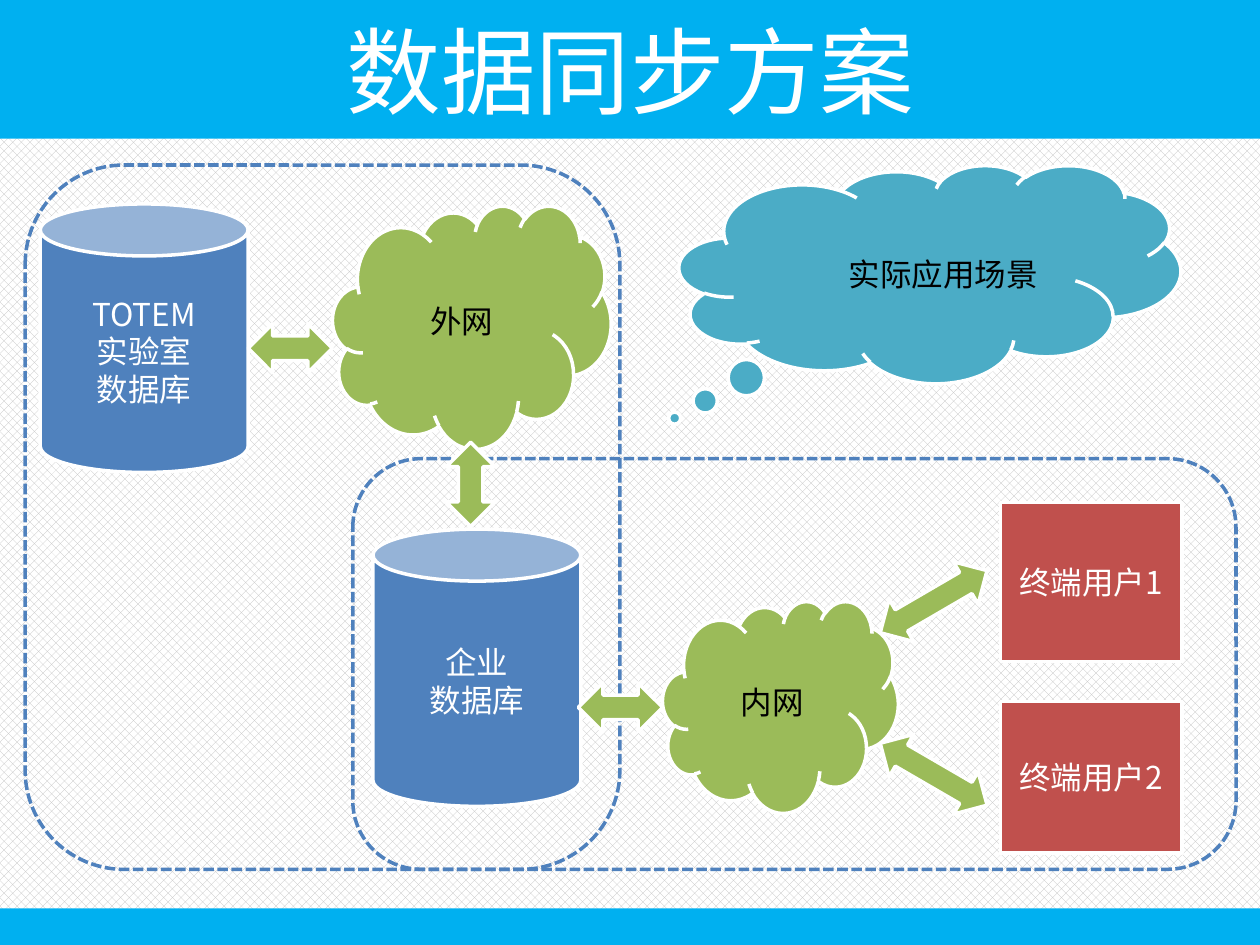
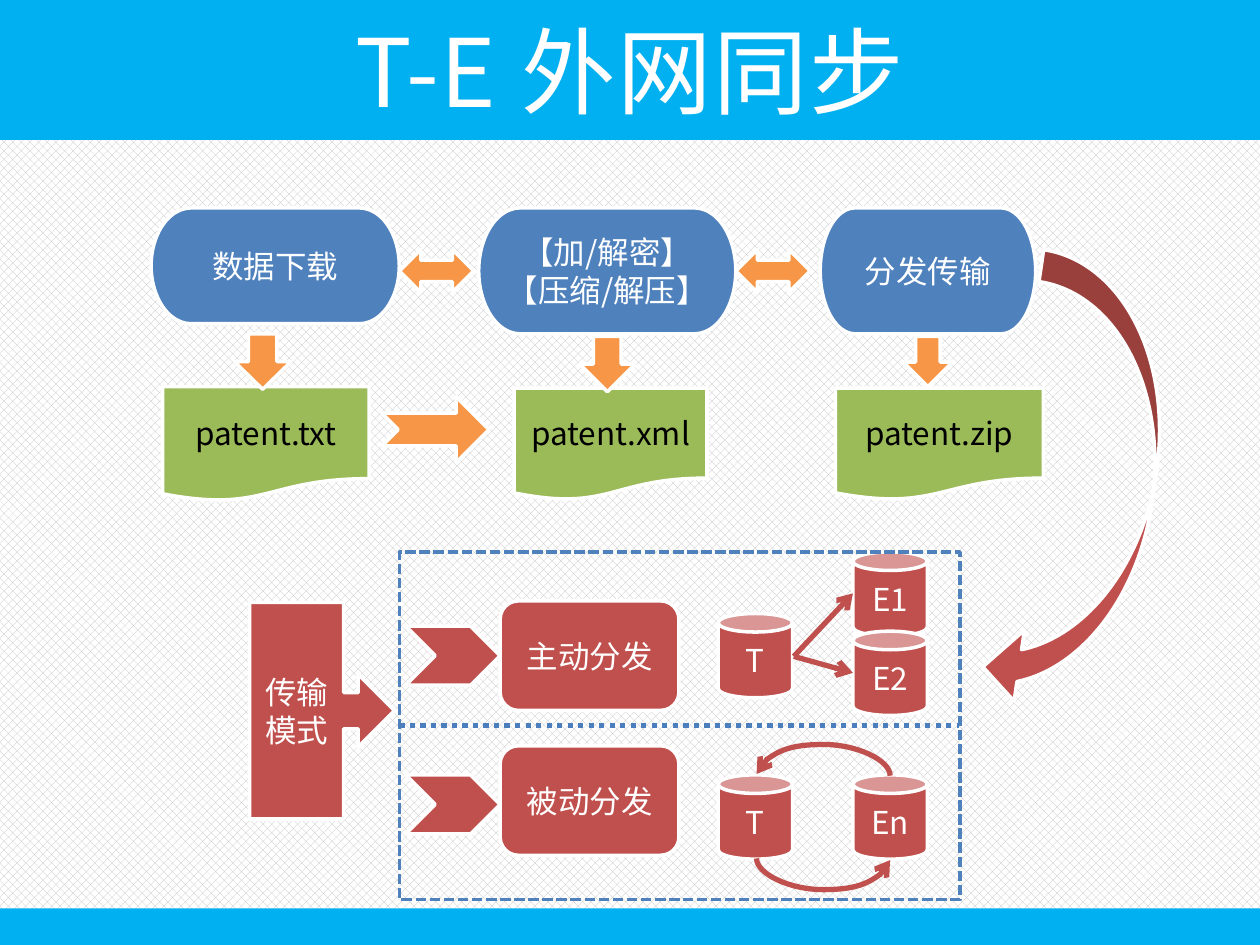
from dataclasses import dataclass

from lxml import etree
from pptx import Presentation
from pptx.dml.color import RGBColor
from pptx.enum.dml import MSO_LINE, MSO_PATTERN
from pptx.enum.shapes import MSO_CONNECTOR, MSO_SHAPE
from pptx.enum.text import MSO_ANCHOR, MSO_AUTO_SIZE, PP_ALIGN
from pptx.oxml.ns import qn
from pptx.util import Pt

CAN = MSO_SHAPE.CAN
CHEVRON = MSO_SHAPE.CHEVRON
CLOUD = MSO_SHAPE.CLOUD
CLOUD_CALLOUT = MSO_SHAPE.CLOUD_CALLOUT
CURVED_ARROW = MSO_SHAPE.CURVED_DOWN_ARROW
DOCUMENT = MSO_SHAPE.FLOWCHART_DOCUMENT
DOWN_ARROW = MSO_SHAPE.DOWN_ARROW
LEFT_RIGHT = MSO_SHAPE.LEFT_RIGHT_ARROW
NOTCHED_ARROW = MSO_SHAPE.NOTCHED_RIGHT_ARROW
RECT = MSO_SHAPE.RECTANGLE
RIGHT_CALLOUT = MSO_SHAPE.RIGHT_ARROW_CALLOUT
ROUND_RECT = MSO_SHAPE.ROUNDED_RECTANGLE
TERMINATOR = MSO_SHAPE.FLOWCHART_TERMINATOR
UP_DOWN = MSO_SHAPE.UP_DOWN_ARROW
STRAIGHT = MSO_CONNECTOR.STRAIGHT
CURVE = MSO_CONNECTOR.CURVE
SYS_DASH = MSO_LINE.SQUARE_DOT
SYS_DOT = MSO_LINE.ROUND_DOT
PCT50 = MSO_PATTERN.PERCENT_50
MIDDLE = MSO_ANCHOR.MIDDLE
CENTER = PP_ALIGN.CENTER
NO_AUTOFIT = MSO_AUTO_SIZE.NONE

WHITE, BLACK, GREY = "FFFFFF", "000000", "BFBFBF"
BAND, BLUE, GREEN = "00B0F0", "4F81BD", "9BBB59"
RED, ORANGE, TEAL, DIVIDER = "C0504D", "F79646", "4BACC6", "4B7EBC"
TITLE_FONT, BODY_FONT = "Noto Sans CJK JP", "Noto Sans CJK SC"
WIDTH, HEIGHT = 720, 540
TITLE_HEIGHT, FOOTER_TOP = 79.2, 519.1
TITLE_ONLY = 5


@dataclass(frozen=True)
class Part:
    """A preset shape; each line of its text is a paragraph."""
    kind: int
    left: float
    top: float
    width: float
    height: float
    fill: str
    text: str = ""
    ink: str = WHITE
    rotation: float = 0
    adjust: tuple[float, ...] = ()


@dataclass(frozen=True)
class Link:
    x1: float
    y1: float
    x2: float
    y2: float
    kind: int = STRAIGHT
    color: str = RED


def rgb(color: str) -> RGBColor:
    return RGBColor.from_string(color)


def paint(sp, color: str) -> None:
    sp.fill.solid()
    sp.fill.fore_color.rgb = rgb(color)


def outline(sp, color: str, width: float = 2) -> None:
    sp.line.color.rgb = rgb(color)
    sp.line.width = Pt(width)


def write(tf, text: str, size: float, font: str, ink: str, spacing: float = 0) -> None:
    tf.word_wrap = True
    tf.vertical_anchor = MIDDLE
    for i, line in enumerate(text.split("\n")):
        p = tf.paragraphs[0] if i == 0 else tf.add_paragraph()
        p.alignment = CENTER
        r = p.add_run()
        r.text = line
        r.font.size = Pt(size)
        r.font.color.rgb = rgb(ink)
        r.font.name = font
        props = r.font._element
        etree.SubElement(props, qn("a:ea")).set("typeface", font)
        if spacing:
            props.set("spc", str(int(spacing * 100)))


def add_part(s, part: Part):
    sp = s.shapes.add_shape(part.kind, Pt(part.left), Pt(part.top),
                            Pt(part.width), Pt(part.height))
    sp.shadow.inherit = False
    sp.rotation = part.rotation
    for i, value in enumerate(part.adjust):
        sp.adjustments[i] = value
    paint(sp, part.fill)
    outline(sp, WHITE)
    if part.text:
        write(sp.text_frame, part.text, 18, BODY_FONT, part.ink)
    return sp


def add_zone(s, kind: int, left: float, top: float, width: float, height: float) -> None:
    """Draw a dashed frame around a group."""
    sp = add_part(s, Part(kind, left, top, width, height, WHITE))
    sp.fill.background()
    outline(sp, BLUE)
    sp.line.dash_style = SYS_DASH


def add_link(s, link: Link):
    sp = s.shapes.add_connector(link.kind, Pt(link.x1), Pt(link.y1),
                                Pt(link.x2), Pt(link.y2))
    outline(sp, link.color, 3)
    etree.SubElement(sp._element.spPr, qn("a:effectLst"))
    return sp


def add_arrow(s, link: Link):
    sp = add_link(s, link)
    ln = sp._element.spPr.find(qn("a:ln"))
    etree.SubElement(ln, qn("a:tailEnd")).set("type", "arrow")
    return sp


def add_loop(s, cx: float, cy: float, span: float, side: int) -> None:
    """Draw an arched arrow: side 1 goes leftwards above, -1 rightwards below.

    The connector is a 1 pt wide upright S, bulged by 18 pt and turned by 270°.
    """
    dx, dy = side * 0.5, side * span / 2
    sp = add_arrow(s, Link(cx - dx, cy + dy, cx + dx, cy - dy, CURVE))
    sp_pr = sp._element.spPr
    sp_pr.find(qn("a:xfrm")).set("rot", str(270 * 60000))
    guides = sp_pr.find(qn("a:prstGeom")).find(qn("a:avLst"))
    guide = etree.SubElement(guides, qn("a:gd"))
    guide.set("name", "adj1")
    guide.set("fmla", f"val {18 * 100000}")


def add_slide(prs, title: str, spacing: float = 0):
    s = prs.slides.add_slide(prs.slide_layouts[TITLE_ONLY])
    fill = s.background.fill
    fill.patterned()
    fill.pattern = PCT50
    fill.fore_color.rgb = rgb(GREY)
    fill.back_color.rgb = rgb(WHITE)
    sp = s.shapes.title
    sp.left, sp.top, sp.width, sp.height = Pt(0), Pt(0), Pt(WIDTH), Pt(TITLE_HEIGHT)
    paint(sp, BAND)
    sp.text_frame.auto_size = NO_AUTOFIT
    write(sp.text_frame, title, 54, TITLE_FONT, WHITE, spacing)
    footer = add_part(s, Part(RECT, 0, FOOTER_TOP, WIDTH, HEIGHT - FOOTER_TOP, BAND))
    footer.line.fill.background()
    return s


def build_plan(prs) -> None:
    s = add_slide(prs, "数据同步方案")
    arrow_long, arrow_thick = 48.2, 28.1
    parts = [
        Part(CLOUD_CALLOUT, 388.1, 94.3, 286.6, 124.6, TEAL, adjust=(-0.509, 0.661)),
        Part(CLOUD, 190.1, 117.4, 159.1, 139, GREEN, "外网", BLACK),
        Part(CLOUD, 378.7, 343.4, 134.6, 121, GREEN, "内网", BLACK),
        Part(RECT, 571.7, 287.3, 103.7, 90.7, RED, "终端用户1"),
        Part(RECT, 571.7, 401, 103.7, 86.4, RED, "终端用户2"),
        Part(CAN, 23, 116.6, 118.8, 153.4, BLUE, "TOTEM\n实验室\n数据库"),
        Part(CAN, 213.1, 302.4, 118.8, 158.4, BLUE, "企业\n数据库"),
    ]
    for part in parts:
        add_part(s, part)
    add_zone(s, ROUND_RECT, 14.4, 94.3, 339.8, 402.5)
    add_zone(s, ROUND_RECT, 201.6, 262.1, 504.7, 234.7)
    for left, top in ((141.8, 185), (330.5, 390.2)):
        add_part(s, Part(LEFT_RIGHT, left, top, arrow_long, arrow_thick, GREEN))
    add_part(s, Part(UP_DOWN, 254.9, 252.7, arrow_thick, arrow_long, GREEN))
    for top, turn in ((329.8, 329.8), (428.4, 30.1)):
        add_part(s, Part(LEFT_RIGHT, 498.2, top, 70.6, arrow_thick, GREEN, rotation=turn))
    scene = s.shapes.add_textbox(Pt(416.9), Pt(100.1), Pt(244.1), Pt(113))
    write(scene.text_frame, "实际应用场景", 18, BODY_FONT, BLACK)


def build_sync(prs) -> None:
    s = add_slide(prs, "T-E 外网同步", spacing=1)
    outline(s.shapes.title, BAND, 1.5)
    parts = [
        Part(DOCUMENT, 92.9, 221, 118.1, 65.5, GREEN, "patent.txt", BLACK),
        Part(DOCUMENT, 293.8, 221.8, 110.2, 64.1, GREEN, "patent.xml", BLACK),
        Part(DOCUMENT, 477.4, 221.8, 118.8, 64.1, GREEN, "patent.zip", BLACK),
        Part(TERMINATOR, 86.4, 118.8, 141.8, 66.2, BLUE, "数据下载"),
        Part(TERMINATOR, 273.6, 118.8, 146.9, 72, BLUE, "【加/解密】\n【压缩/解压】"),
        Part(TERMINATOR, 468.7, 118.8, 123.1, 72, BLUE, "分发传输"),
        Part(DOWN_ARROW, 133.9, 190.8, 32.4, 31.7, ORANGE),
        Part(DOWN_ARROW, 331.2, 192.2, 31.7, 31.7, ORANGE),
        Part(DOWN_ARROW, 516.2, 192.2, 28.1, 28.8, ORANGE),
        Part(LEFT_RIGHT, 228.2, 142.6, 42.5, 24.5, ORANGE),
        Part(LEFT_RIGHT, 420.5, 142.6, 42.5, 24.5, ORANGE),
        Part(NOTCHED_ARROW, 218.2, 226.8, 61.2, 37.4, ORANGE),
        Part(RIGHT_CALLOUT, 142.6, 344.2, 82.8, 123.8, RED, "传输模式"),
        Part(CURVED_ARROW, 487.4, 236.9, 261.4, 82.1, RED, rotation=98.3,
             adjust=(0.225, 0.5, 0.25)),
    ]
    for mode, top, chevron_top in (("主动分发", 343.4, 357.8), ("被动分发", 426.2, 442.8)):
        parts += [Part(ROUND_RECT, 285.8, top, 102.2, 62.6, RED, mode),
                  Part(CHEVRON, 231.8, chevron_top, 54, 33.8, RED)]
    source_x, target_x = 410.4, 487.4
    databases = (("T", source_x, 350.6), ("E1", target_x, 315.4), ("E2", target_x, 360.7),
                 ("T", source_x, 442.8), ("En", target_x, 442.8))
    parts += [Part(CAN, x, y, 42.5, 48.2, RED, name) for name, x, y in databases]
    for part in parts:
        add_part(s, part)

    for end_y in (339.1, 384.5):
        add_arrow(s, Link(453.6, 375.1, target_x, end_y))
    for cy, side in ((442.8, 1), (491, -1)):
        add_loop(s, 470.5, cy, 76.3, side)
    add_zone(s, RECT, 228.2, 315.4, 320.4, 198.7)
    divider = add_link(s, Link(228.2, 414.7, 547.9, 414.7, color=DIVIDER))
    divider.line.dash_style = SYS_DOT


def main() -> None:
    prs = Presentation()
    prs.slide_width, prs.slide_height = Pt(WIDTH), Pt(HEIGHT)
    build_plan(prs)
    build_sync(prs)
    prs.save("out.pptx")


if __name__ == "__main__":
    main()
